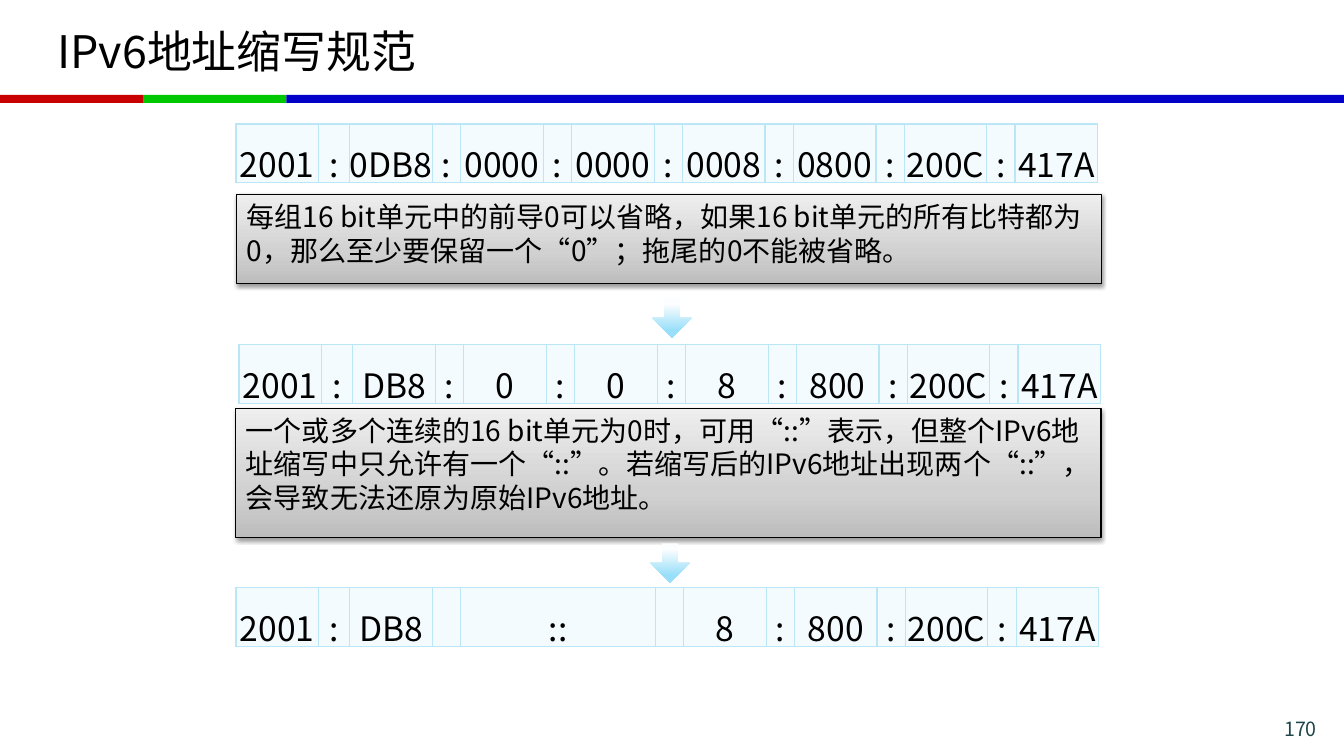
from lxml import etree
from pptx import Presentation
from pptx.dml.color import RGBColor
from pptx.enum.shapes import MSO_SHAPE
from pptx.enum.text import MSO_ANCHOR, PP_ALIGN
from pptx.oxml.ns import qn
from pptx.util import Inches, Pt

RECTANGLE = MSO_SHAPE.RECTANGLE
RIGHT_ARROW = MSO_SHAPE.RIGHT_ARROW
MIDDLE = MSO_ANCHOR.MIDDLE
TOP = MSO_ANCHOR.TOP
LEFT = PP_ALIGN.LEFT
CENTER = PP_ALIGN.CENTER
RIGHT = PP_ALIGN.RIGHT

FONT = "Noto Sans CJK SC"
BLACK = "000000"
CELL_FILL = "F4FBFE"
CELL_BORDER = "BAE6F6"
RULE_STRIPES = [(0, 1.42, "C80000"), (1.42, 1.42, "00C800"), (2.84, 10.49, "0000C8")]
NOTE_GRADIENT = [(0, "BDBDBD"), (35, "D1D1D1"), (100, "EEEEEE")]
ARROW_GRADIENT = [(15, "FCFDFE"), (81, "99DFF9")]

GROUP_WIDTH = 0.82
FIRST_COLON_WIDTH = 0.31
COLON_WIDTH = 0.28
GAP_WIDTH = 1.93
ADDRESS_HEIGHT = 0.54
ROW_HEIGHT = 0.33
CONTENT_WIDTH = 8.58

FULL_ADDRESS = "2001 : 0DB8 : 0000 : 0000 : 0008 : 0800 : 200C : 417A".split(" ")
SHORT_ADDRESS = "2001 : DB8 : 0 : 0 : 8 : 800 : 200C : 417A".split(" ")
COMPRESSED_ADDRESS = ["2001", ":", "DB8", "", "::", "", *"8 : 800 : 200C : 417A".split(" ")]

ZERO_NOTE = "每组16 bit单元中的前导0可以省略，如果16 bit单元的所有比特都为0，那么至少要保留一个“0”；拖尾的0不能被省略。"
COLON_NOTE = (
    "一个或多个连续的16 bit单元为0时，可用“::”表示，但整个IPv6地址缩写中只允许有一个“::”。"
    "若缩写后的IPv6地址出现两个“::”，会导致无法还原为原始IPv6地址。"
)


def color(value):
    return RGBColor.from_string(value)


def add_element(parent, tag, **attributes):
    return etree.SubElement(parent, qn(tag), attributes)


def add_color(parent, value):
    return add_element(parent, "a:srgbClr", val=value)


def write(text_frame, text, size, font_color=BLACK, alignment=LEFT, anchor=TOP, spacing=1.0):
    text_frame.word_wrap = True
    text_frame.vertical_anchor = anchor
    text_frame.text = text
    paragraph = text_frame.paragraphs[0]
    style(paragraph, size, font_color, alignment, spacing)


def style(paragraph, size, font_color, alignment, spacing):
    paragraph.alignment = alignment
    paragraph.line_spacing = spacing
    for run in paragraph.runs:
        run.font.size = Pt(size)
        run.font.name = FONT
        run.font.color.rgb = color(font_color)
        east_asian = add_element(run.font._element, "a:ea", typeface=FONT)
        run.font._element.find(qn("a:latin")).addnext(east_asian)


def set_gradient(shape, stops, angle):
    shape.fill.gradient()
    shape.fill.gradient_angle = angle
    stop_list = shape._element.spPr.find(qn("a:gradFill")).find(qn("a:gsLst"))
    for stop in list(stop_list):
        stop_list.remove(stop)
    for position, value in stops:
        add_color(add_element(stop_list, "a:gs", pos=str(position * 1000)), value)


def add_text(slide, box, text, size, **options):
    shape = slide.shapes.add_textbox(*map(Inches, box))
    write(shape.text_frame, text, size, **options)


def add_rule(slide, box):
    left, top, height = box
    for offset, width, fill in RULE_STRIPES:
        stripe = slide.shapes.add_shape(
            RECTANGLE, Inches(left + offset), Inches(top), Inches(width), Inches(height))
        stripe.shadow.inherit = False
        stripe.fill.solid()
        stripe.fill.fore_color.rgb = color(fill)
        stripe.line.fill.background()


def add_borders(cell):
    properties = cell._tc.get_or_add_tcPr()
    for index, side in enumerate(("a:lnL", "a:lnR", "a:lnT", "a:lnB")):
        border = add_element(properties, side, w=str(Pt(1)))
        add_color(add_element(border, "a:solidFill"), CELL_BORDER)
        properties.insert(index, border)


def column_width(index, text):
    if text == "::":
        return GAP_WIDTH
    if index % 2 == 0:
        return GROUP_WIDTH
    return FIRST_COLON_WIDTH if index == 1 else COLON_WIDTH


def add_address(slide, box, parts):
    left, top = box
    frame = slide.shapes.add_table(
        1, len(parts), Inches(left), Inches(top), Inches(CONTENT_WIDTH), Inches(ADDRESS_HEIGHT))
    table = frame.table
    table.first_row = False
    table.horz_banding = False
    table.rows[0].height = Inches(ROW_HEIGHT)
    for index, part in enumerate(parts):
        table.columns[index].width = Inches(column_width(index, part))
        cell = table.cell(0, index)
        cell.fill.solid()
        cell.fill.fore_color.rgb = color(CELL_FILL)
        add_borders(cell)
        cell.margin_left = cell.margin_right = 0
        cell.margin_top = cell.margin_bottom = Inches(0.05)
        cell.vertical_anchor = MIDDLE
        if part:
            cell.text_frame.text = part
            style(cell.text_frame.paragraphs[0], 24, BLACK, CENTER, 1.2)
    frame.height = Inches(ADDRESS_HEIGHT)


def add_note(slide, box, text):
    note = slide.shapes.add_shape(RECTANGLE, *map(Inches, box))
    set_gradient(note, NOTE_GRADIENT, 90)
    note.line.color.rgb = color(BLACK)
    note.line.width = Pt(0.75)
    note.shadow.inherit = False
    effects = note._element.spPr.find(qn("a:effectLst"))
    shadow = add_element(effects, "a:outerShdw", blurRad=str(Pt(3.1)), dist=str(Pt(1.6)),
                         dir="5400000", rotWithShape="0")
    add_element(add_color(shadow, BLACK), "a:alpha", val="38000")
    write(note.text_frame, text, 20)


def add_down_arrow(slide, box):
    arrow = slide.shapes.add_shape(RIGHT_ARROW, *map(Inches, box))
    arrow.rotation = 90
    arrow.adjustments[0] = 0.4
    arrow.adjustments[1] = 0.5
    arrow.shadow.inherit = False
    set_gradient(arrow, ARROW_GRADIENT, 0)
    arrow.line.fill.background()


def build_address_slide(presentation):
    slide = presentation.slides.add_slide(presentation.slide_layouts[6])
    add_rule(slide, (0, 0.94, 0.08))
    add_text(slide, (0.47, 0.08, 12.39, 0.84), "IPv6地址缩写规范", 32, anchor=MIDDLE)
    add_text(slide, (11.86, 7.06, 1.3, 0.23), "170", 14, font_color="1E4649", alignment=RIGHT)
    add_address(slide, (2.34, 1.23), FULL_ADDRESS)
    add_note(slide, (2.35, 1.93, CONTENT_WIDTH, 0.88), ZERO_NOTE)
    add_address(slide, (2.37, 3.42), SHORT_ADDRESS)
    add_note(slide, (2.34, 4.05, CONTENT_WIDTH, 1.28), COLON_NOTE)
    add_address(slide, (2.34, 5.83), COMPRESSED_ADDRESS)
    add_down_arrow(slide, (6.47, 2.96, 0.39, 0.39))
    add_down_arrow(slide, (6.45, 5.39, 0.39, 0.39))


def main():
    presentation = Presentation()
    presentation.slide_width = Inches(13.33)
    presentation.slide_height = Inches(7.5)
    build_address_slide(presentation)
    presentation.save("out.pptx")


if __name__ == "__main__":
    main()
